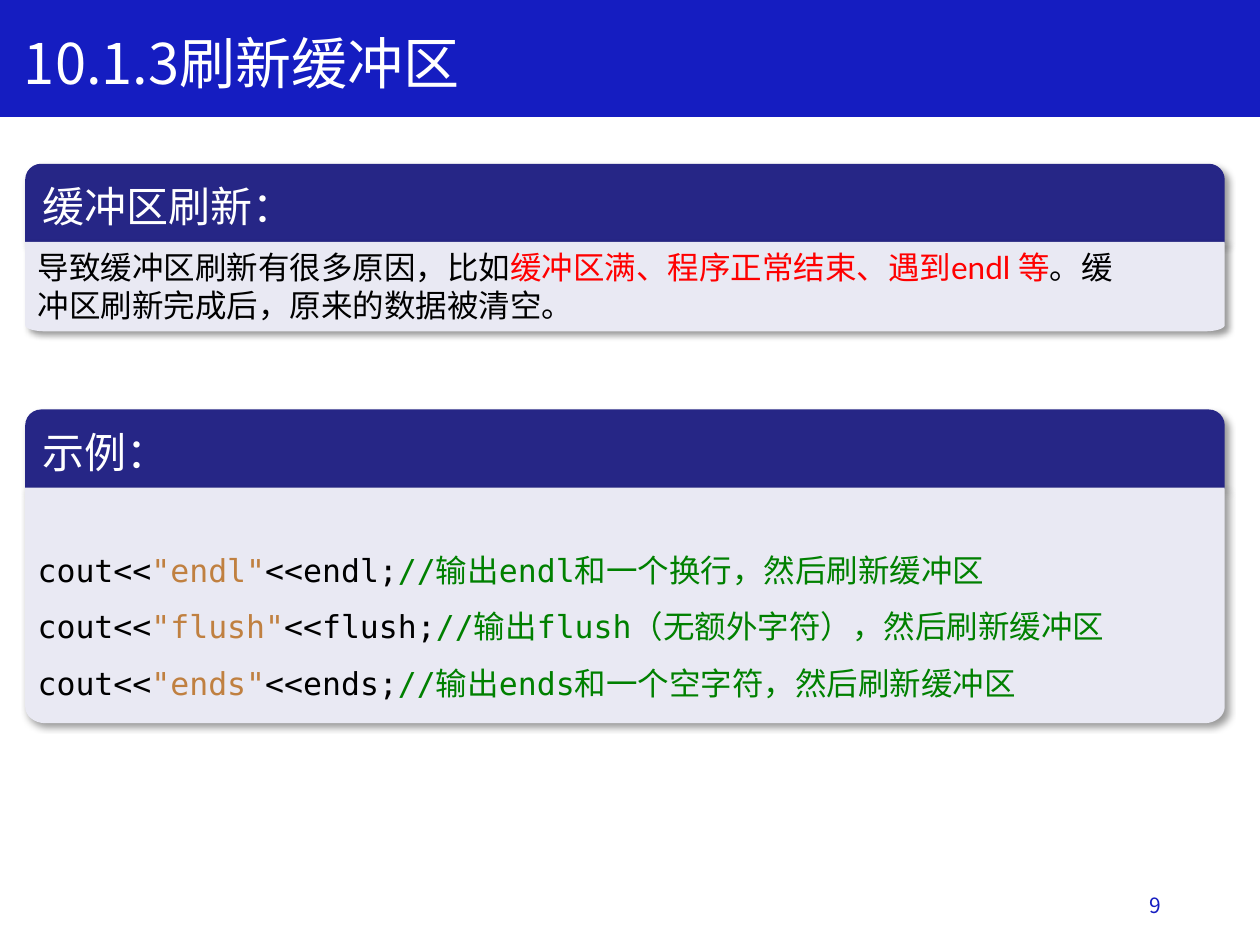
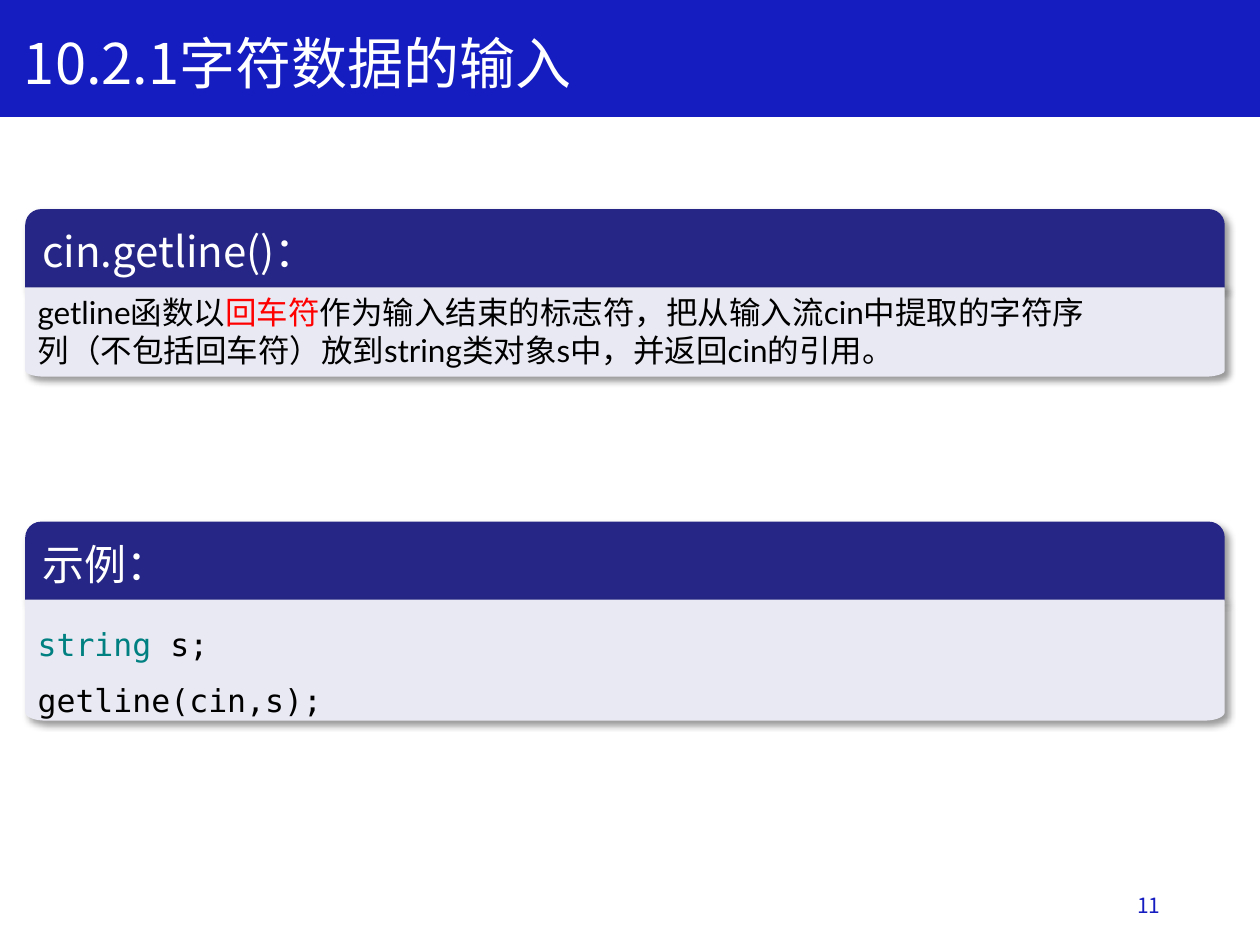
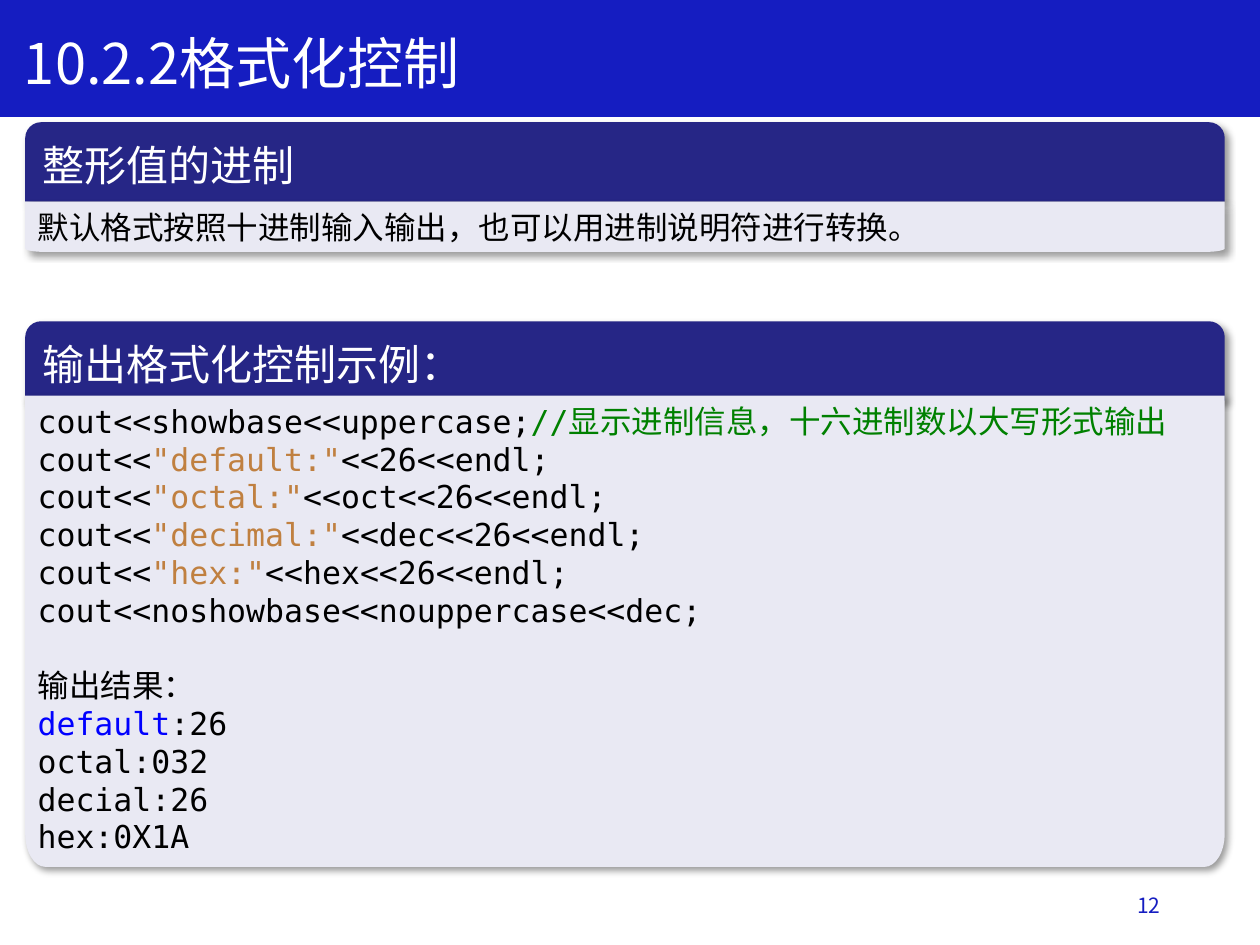
from math import cos, pi, sin

from lxml.etree import SubElement
from pptx import Presentation
from pptx.dml.color import RGBColor
from pptx.enum.shapes import MSO_SHAPE
from pptx.enum.text import MSO_ANCHOR, PP_ALIGN
from pptx.oxml.ns import qn
from pptx.util import Inches, Pt

HUES = {
    "band": "151DC1", "head": "262686", "body": "E9E9F3", "white": "FFFFFF",
    "black": "000000", "red": "FF0000", "quote": "C08040", "note": "008000",
    "type": "008080", "word": "0000FF",
}
HAN, LATIN, MONO = "Noto Sans CJK SC", "Lato", "DejaVu Sans Mono"
LEFT, WIDE, CAP = 0.2, 9.52, 0.63


def hue(name):
    """Return the named colour."""
    return RGBColor.from_string(HUES[name])


def write(shape, lines, size=18, font=HAN, color="black", align=PP_ALIGN.LEFT,
          anchor=MSO_ANCHOR.MIDDLE, wrap=True, space=None, gaps=(), inset=0.05):
    """Fill a shape with lines, each a list of (text, color, font) runs."""
    frame = shape.text_frame
    frame.word_wrap = wrap
    frame.vertical_anchor = anchor
    frame.margin_left = frame.margin_right = Inches(0.1)
    frame.margin_top, frame.margin_bottom = Inches(inset), Inches(0.05)
    for i, line in enumerate(lines):
        para = frame.add_paragraph() if i else frame.paragraphs[0]
        para.alignment = align
        para.line_spacing = space
        if i in gaps:
            para.space_before = Pt(21.5)
        for text, tint, face in line:
            run = para.add_run()
            run.text = text
            run.font.size = Pt(size)
            run.font.name = face or font
            run.font.color.rgb = hue(tint or color)
    for mark in shape.element.iter(qn("a:rPr")):
        SubElement(mark, qn("a:ea"), typeface=HAN)


def plain(text, color=None, font=None):
    """Return one run."""
    return text, color, font


def paint(shape, fill, line=None):
    """Set fill and line and turn the inherited shadow off."""
    shape.fill.solid()
    shape.fill.fore_color.rgb = hue(fill)
    if line:
        shape.line.color.rgb = hue(line)
        shape.line.width = Pt(1)
    else:
        shape.line.fill.background()
    shape.shadow.inherit = False


def shade(shape):
    """Give a painted shape a soft shadow to the lower right."""
    glow = SubElement(
        shape.element.spPr.find(qn("a:effectLst")), qn("a:outerShdw"),
        blurRad=str(Pt(4)), dist=str(Pt(3)), dir="2700000",
        algn="tl", rotWithShape="0")
    tint = SubElement(glow, qn("a:srgbClr"), val=HUES["black"])
    SubElement(tint, qn("a:alpha"), val="40000")


def band(slide):
    """Put the title band on the layout that the slides share."""
    bar = slide.shapes.add_shape(
        MSO_SHAPE.RECTANGLE, 0, 0, Inches(10), Inches(0.92))
    paint(bar, "band", "band")
    slide.slide_layout.shapes.element.insert(2, bar.element)


def frame(slide, title, page):
    """Place the title and the page number."""
    head = slide.shapes.title
    head.left, head.top = Inches(0.09), Inches(0.17)
    head.width, head.height = Inches(4.67), Inches(0.64)
    write(head, [[plain(title)]], size=32, color="white", wrap=False)
    foot = slide.shapes.add_textbox(
        Inches(7.06), Inches(6.98), Inches(2.25), Inches(0.4))
    write(foot, [[plain(str(page))]], size=12, color="band",
          align=PP_ALIGN.RIGHT)


def sheet(shapes, top, high):
    """Draw a panel with its two lower corners rounded."""
    right, base = LEFT + WIDE, top + high
    rx, ry = 0.16, 0.07 * high
    turns = [pi / 2 * i / 8 for i in range(9)]
    east = [(right - rx + rx * cos(t), base - ry + ry * sin(t)) for t in turns]
    west = [(LEFT + rx - rx * sin(t), base - ry + ry * cos(t)) for t in turns]
    spots = [(Inches(x), Inches(y)) for x, y in [(right, top)] + east + west]
    pen = shapes.build_freeform(Inches(LEFT), Inches(top))
    pen.add_line_segments(spots, close=True)
    return pen.convert_to_shape()


def block(slide, top, high, title, lines, drop=0.62, **form):
    """Group a heading bar with the text panel below it."""
    shapes = slide.shapes.add_group_shape().shapes
    head = shapes.add_shape(
        MSO_SHAPE.ROUND_2_SAME_RECTANGLE,
        Inches(LEFT), Inches(top), Inches(WIDE), Inches(CAP))
    head.adjustments[0], head.adjustments[1] = 0.2, 0
    body = sheet(shapes, top + drop, high)
    for shape, fill in ((head, "head"), (body, "body")):
        paint(shape, fill)
        shade(shape)
    write(head, [[plain(title)]], size=24, color="white")
    write(body, lines, anchor=MSO_ANCHOR.TOP, **form)


def echo(word, tail):
    """Return the runs of a code line that prints a quoted word."""
    return [plain("cout<<"), plain(f'"{word}"', "quote"), plain(f"<<{tail};")]


def flush(word, rest):
    """Return the runs of a stream line with its comment."""
    return echo(word, word) + [
        plain("//", "note"), plain("输出", "note", HAN),
        plain(word, "note"), plain(rest, "note", HAN)]


def buffer(slide):
    """Build the slide on flushing the buffer."""
    frame(slide, "10.1.3刷新缓冲区", 9)
    block(slide, 1.3, 0.71, "缓冲区刷新：", [
        [plain("导致缓冲区刷新有很多原因，比如"),
         plain("缓冲区满、程序正常结束、遇到", "red"),
         plain("endl ", "red", LATIN), plain("等", "red"), plain("。缓")],
        [plain("冲区刷新完成后，原来的数据被清空。")],
    ])
    block(slide, 3.25, 1.87, "示例：", [
        flush("endl", "和一个换行，然后刷新缓冲区"),
        flush("flush", "（无额外字符），然后刷新缓冲区"),
        flush("ends", "和一个空字符，然后刷新缓冲区"),
    ], font=MONO, space=1.5, inset=0.35)


def getline(slide):
    """Build the slide on reading characters."""
    frame(slide, "10.2.1字符数据的输入", 11)
    block(slide, 1.66, 0.71, "cin.getline()：", [
        [plain("getline", font=LATIN), plain("函数以"),
         plain("回车符", "red"),
         plain("作为输入结束的标志符，把从输入流"),
         plain("cin", font=LATIN), plain("中提取的字符序")],
        [plain("列（不包括回车符）放到"), plain("string", font=LATIN),
         plain("类对象"), plain("s", font=LATIN), plain("中，并返回"),
         plain("cin", font=LATIN), plain("的引用。")],
    ])
    block(slide, 4.14, 0.96, "示例：", [
        [plain("string ", "type"), plain("s;")],
        [plain("getline(cin,s);")],
    ], font=MONO, space=1.5)


def radix(slide):
    """Build the slide on number bases."""
    frame(slide, "10.2.2格式化控制", 12)
    block(slide, 0.97, 0.4, "整形值的进制", [
        [plain("默认格式按照十进制输入输出，也可以用进制说明符进行转换。")],
    ], drop=0.63, font=MONO)
    block(slide, 2.55, 3.74, "输出格式化控制示例：", [
        [plain("cout<<showbase<<uppercase;"), plain("//", "note"),
         plain("显示进制信息，十六进制数以大写形式输出", "note", HAN)],
        echo("default:", "26<<endl"),
        echo("octal:", "oct<<26<<endl"),
        echo("decimal:", "dec<<26<<endl"),
        echo("hex:", "hex<<26<<endl"),
        [plain("cout<<noshowbase<<nouppercase<<dec;")],
        [plain("输出结果：", font=HAN)],
        [plain("default", "word"), plain(":26")],
        [plain("octal:032")],
        [plain("decial:26")],
        [plain("hex:0X1A")],
    ], drop=0.59, font=MONO, gaps=(6,))


def main():
    """Build and save the deck."""
    deck = Presentation()
    deck.slide_width, deck.slide_height = Inches(10), Inches(7.5)
    layout = deck.slide_layouts[5]
    for i, build in enumerate((buffer, getline, radix)):
        slide = deck.slides.add_slide(layout)
        if i == 0:
            band(slide)
        build(slide)
    deck.save("out.pptx")


main()
